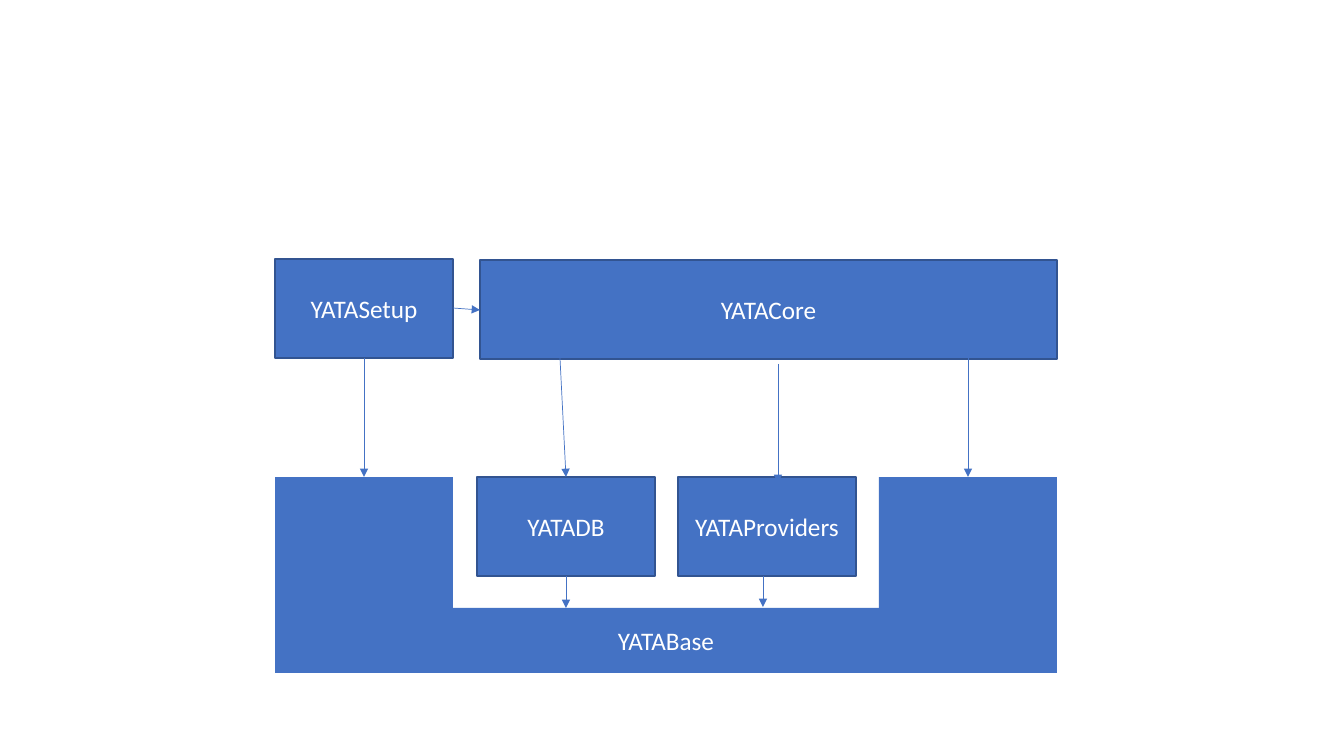
from pptx import Presentation
from pptx.util import Pt
from pptx.dml.color import RGBColor
from pptx.enum.shapes import MSO_SHAPE, MSO_CONNECTOR
from pptx.enum.text import PP_ALIGN, MSO_ANCHOR
from pptx.oxml.ns import qn
from lxml.etree import SubElement

PX = 914400 / 100.8  # EMU per pixel
COLORS = {"fill": "4472C4", "edge": "325491", "text": "FFFFFF"}


def emu(*vals):
    return [round(v * PX) for v in vals]


def color(name):
    return RGBColor.from_string(COLORS[name])


deck = Presentation()
deck.slide_width, deck.slide_height = emu(1344, 756)
slide = deck.slides.add_slide(deck.slide_layouts[6])

# Shared columns and rows
WIDE, HIGH = 178, 99
LEFT, RIGHT = 275, 1057
TOP, MID, BASE = 259, 477, 608

# Boxes: text, left, top, width, height, outlined
boxes = [
    ("YATABase", LEFT, BASE, RIGHT - LEFT, 65, False),
    ("YATASetup", LEFT, TOP, WIDE, HIGH, True),
    ("YATAProviders", 678, MID, WIDE, HIGH, True),
    ("YATACore", 480, TOP + 1, RIGHT - 480, HIGH, True),
    ("YATADB", 477, MID, WIDE, HIGH, True),
    ("", LEFT, MID, WIDE, BASE - MID, False),
    ("", RIGHT - WIDE, MID, WIDE, BASE - MID, False),
]
for text, x, y, w, h, edged in boxes:
    box = slide.shapes.add_shape(MSO_SHAPE.RECTANGLE, *emu(x, y, w, h))
    box.shadow.inherit = False
    box.fill.solid()
    box.fill.fore_color.rgb = color("fill")
    if edged:
        box.line.color.rgb = color("edge")
        box.line.width = Pt(1)
    else:
        box.line.fill.background()
    if text:
        frame = box.text_frame
        frame.word_wrap = True
        frame.vertical_anchor = MSO_ANCHOR.MIDDLE
        para = frame.paragraphs[0]
        para.text = text
        para.alignment = PP_ALIGN.CENTER
        para.font.name = "Calibri"
        para.font.size = Pt(18)
        para.font.color.rgb = color("text")

# Arrows: start x, y, end x, y
arrows = [
    (566, MID + HIGH, 566, BASE),
    (763, MID + HIGH, 763, BASE - 1),
    (560, TOP + HIGH, 566, MID),
    (778, 364, 778, 483),
    (364, TOP + HIGH, 364, MID),
    (LEFT + WIDE, 308, 480, 310),
    (968, TOP + HIGH, 968, MID),
]
for ends in arrows:
    arrow = slide.shapes.add_connector(MSO_CONNECTOR.STRAIGHT, *emu(*ends))
    arrow.line.color.rgb = color("fill")
    arrow.line.width = Pt(0.5)
    SubElement(arrow.line._get_or_add_ln(), qn("a:tailEnd"), type="triangle")
    SubElement(arrow._element.spPr, qn("a:effectLst"))

deck.save("out.pptx")
